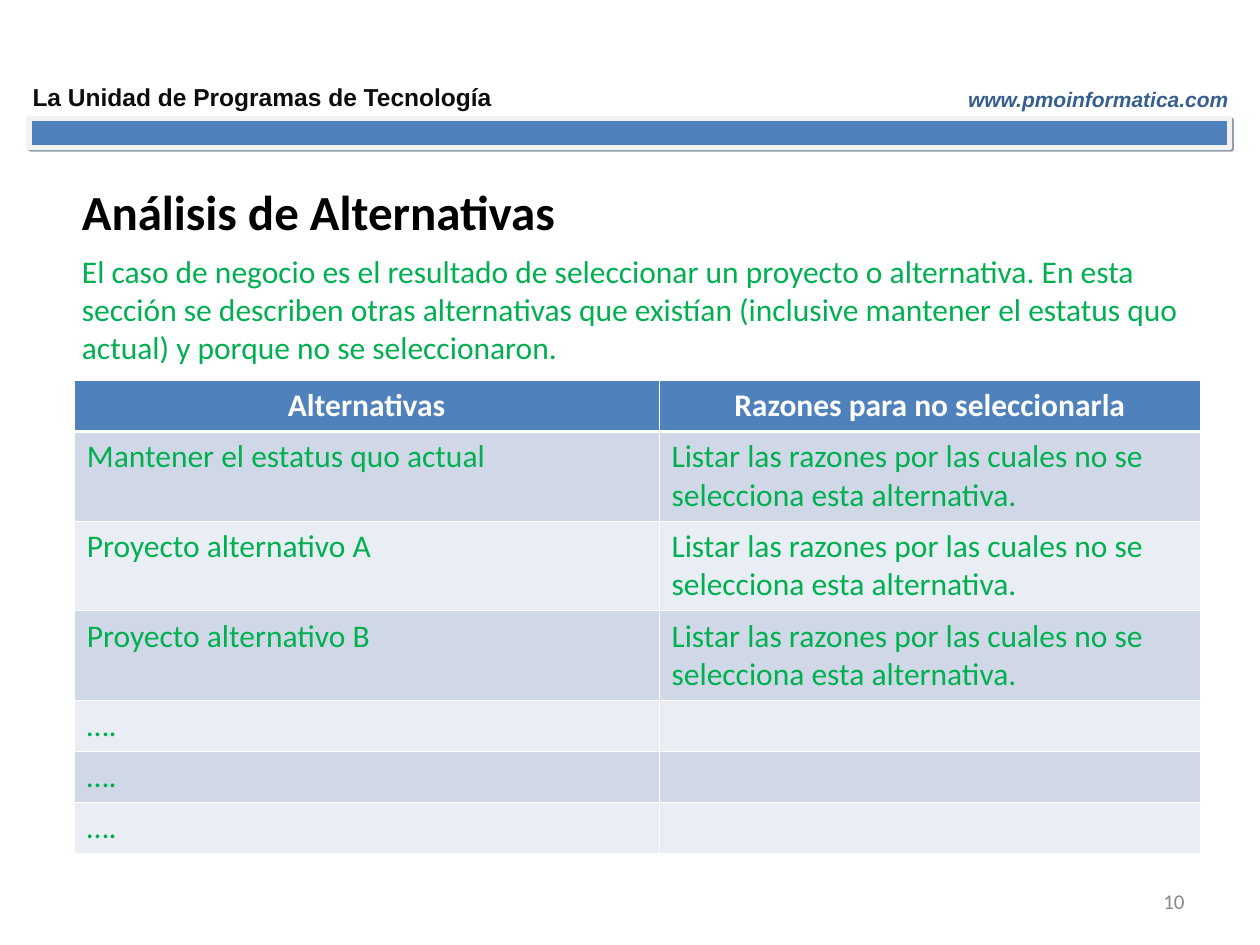
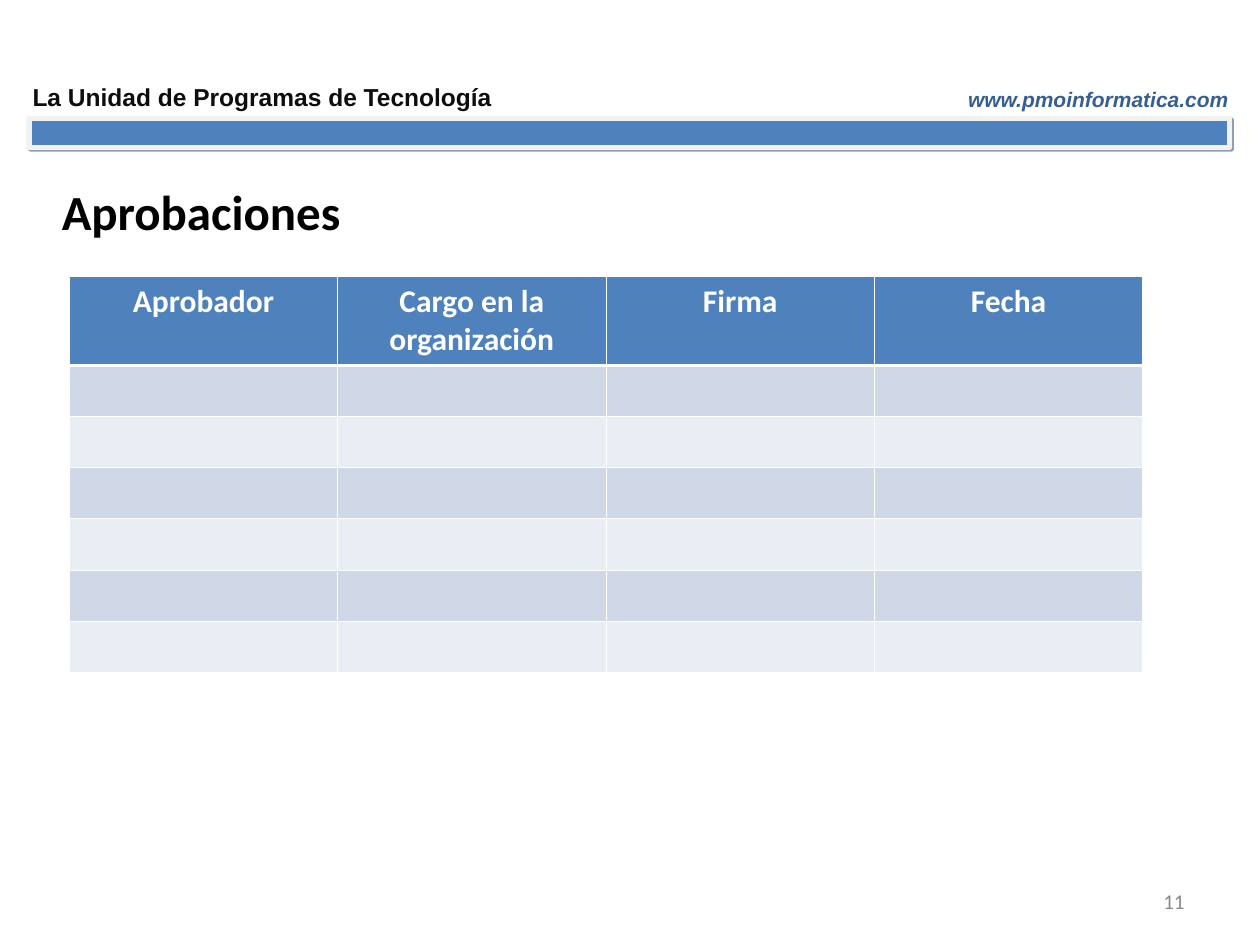
from dataclasses import dataclass

from lxml.etree import SubElement
from pptx import Presentation
from pptx.dml.color import RGBColor
from pptx.enum.shapes import MSO_SHAPE
from pptx.enum.text import MSO_ANCHOR, MSO_AUTO_SIZE, PP_ALIGN
from pptx.oxml.ns import qn
from pptx.util import Inches, Pt


@dataclass(frozen=True)
class Theme:
    blue: str = "4F81BD"
    pale_rows: tuple = ("D0D8E8", "E9EDF4")
    white: str = "FFFFFF"
    band_edge: str = "F2F2F2"
    band_shadow: str = "243F60"
    green: str = "00B050"
    site_blue: str = "365F91"
    ink: str = "0D0D0D"
    black: str = "000000"
    gray: str = "898989"
    heading_font: str = "Arial"
    text_font: str = "Calibri"
    title_size: int = 28
    body_size: int = 18
    office_size: int = 14
    small_size: int = 12
    thin_border: float = 0.45
    header_border: float = 1.47


THEME = Theme()


def text_format(name, size, color, bold=False, italic=False):
    return {"name": name, "size": Pt(size), "bold": bold, "italic": italic, "color": color}


FORMATS = {
    "office": text_format(THEME.heading_font, THEME.office_size, THEME.ink, bold=True),
    "site": text_format(THEME.heading_font, THEME.small_size, THEME.site_blue, bold=True, italic=True),
    "title": text_format(THEME.text_font, THEME.title_size, THEME.black, bold=True),
    "body": text_format(THEME.text_font, THEME.body_size, THEME.green),
    "header": text_format(THEME.text_font, THEME.body_size, THEME.white, bold=True),
    "number": text_format(THEME.text_font, THEME.small_size, THEME.gray),
}


def rgb(color):
    return RGBColor.from_string(color)


def write_text(frame, text, style, align=PP_ALIGN.LEFT):
    para = frame.paragraphs[0]
    para.alignment = align
    para.space_before = Pt(0)
    span = para.add_run()
    span.text = text
    for attribute, value in FORMATS[style].items():
        if attribute == "color":
            span.font.color.rgb = rgb(value)
        else:
            setattr(span.font, attribute, value)


def place(shape, bounds):
    for attribute, value in zip(("left", "top", "width", "height"), bounds):
        setattr(shape, attribute, Inches(value))


def format_frame(frame, anchor=MSO_ANCHOR.MIDDLE):
    settings = {"word_wrap": True, "auto_size": MSO_AUTO_SIZE.NONE, "vertical_anchor": anchor}
    for attribute, value in settings.items():
        setattr(frame, attribute, value)


def add_label(page, bounds, text, style, align=PP_ALIGN.LEFT):
    box = page.shapes.add_textbox(*map(Inches, bounds))
    format_frame(box.text_frame)
    write_text(box.text_frame, text, style, align)


def add_band(page):
    band = page.shapes.add_shape(MSO_SHAPE.RECTANGLE, *map(Inches, (0.23, 0.94, 9.53, 0.23)))
    band.fill.solid()
    band.fill.fore_color.rgb = rgb(THEME.blue)
    band.line.color.rgb = rgb(THEME.band_edge)
    band.line.width = Pt(3)
    band.shadow.inherit = False
    effects = band.element.spPr.find(qn("a:effectLst"))
    shadow = SubElement(effects, qn("a:outerShdw"), dist=str(Pt(1.4)), dir="2700000", algn="ctr", rotWithShape="0")
    color = SubElement(shadow, qn("a:srgbClr"), val=THEME.band_shadow)
    SubElement(color, qn("a:alpha"), val="50000")


def add_page(deck, layout_name, title, title_left, number):
    page = deck.slides.add_slide(deck.slide_layouts.get_by_name(layout_name))
    add_band(page)
    add_label(page, (0.16, 0.6, 3.91, 0.34), "La Unidad de Programas de Tecnología", "office")
    add_label(page, (7.19, 0.64, 2.66, 0.3), "www.pmoinformatica.com", "site", PP_ALIGN.RIGHT)
    place(page.shapes.title, (title_left, 1.48, 9.03, 0.39))
    format_frame(page.shapes.title.text_frame)
    write_text(page.shapes.title.text_frame, title, "title")
    add_label(page, (7.17, 6.95, 2.33, 0.4), str(number), "number", PP_ALIGN.RIGHT)
    return page


def fill_body(page, text, bounds):
    body = page.placeholders[1]
    place(body, bounds)
    format_frame(body.text_frame, MSO_ANCHOR.TOP)
    properties = body.text_frame.paragraphs[0]._p.get_or_add_pPr()
    properties.set("marL", "0")
    properties.set("indent", "0")
    SubElement(properties, qn("a:buNone"))
    write_text(body.text_frame, text, "body")


def set_borders(cell, row_index):
    widths = {side: THEME.thin_border for side in ("L", "R", "T", "B")}
    if row_index == 0:
        widths["B"] = THEME.header_border
    elif row_index == 1:
        widths["T"] = THEME.header_border
    properties = cell._tc.get_or_add_tcPr()
    for side, width in widths.items():
        border = SubElement(properties, qn(f"a:ln{side}"), w=str(Pt(width)))
        fill = SubElement(border, qn("a:solidFill"))
        SubElement(fill, qn("a:srgbClr"), val=THEME.white)


def format_cell(cell, text, row_index):
    is_header = row_index == 0
    set_borders(cell, row_index)
    cell.fill.solid()
    color = THEME.blue if is_header else THEME.pale_rows[(row_index - 1) % 2]
    cell.fill.fore_color.rgb = rgb(color)
    if text:
        style = "header" if is_header else "body"
        write_text(cell.text_frame, text, style, PP_ALIGN.CENTER if is_header else PP_ALIGN.LEFT)
    else:
        cell.text_frame.paragraphs[0].font.size = Pt(THEME.body_size)


def add_grid(page, left, top, widths, heights, rows):
    bounds = (left, top, sum(widths), sum(heights))
    table = page.shapes.add_table(len(rows), len(widths), *map(Inches, bounds)).table
    table.horz_banding = False
    for column, width in zip(table.columns, widths):
        column.width = Inches(width)
    for row_index, (row, height, texts) in enumerate(zip(table.rows, heights, rows)):
        row.height = Inches(height)
        for cell, text in zip(row.cells, texts):
            format_cell(cell, text, row_index)


def add_alternatives(deck):
    page = add_page(deck, "Title and Content", "Análisis de Alternativas", 0.55, 10)
    reasons = "Listar las razones por las cuales no se selecciona esta alternativa."
    options = ("Mantener el estatus quo actual", "Proyecto alternativo A", "Proyecto alternativo B")
    rows = [("Alternativas", "Razones para no seleccionarla")]
    rows += [(option, reasons) for option in options]
    rows += [("….", "")] * 3
    add_grid(page, 0.59, 3.02, (4.64, 4.3), [0.4] + [0.7] * 3 + [0.4] * 3, rows)
    fill_body(
        page,
        "El caso de negocio es el resultado de seleccionar un proyecto o alternativa. "
        "En esta sección se describen otras alternativas que existían (inclusive mantener "
        "el estatus quo actual) y porque no se seleccionaron.",
        (0.55, 1.95, 9.03, 1.02),
    )


def add_approvals(deck):
    page = add_page(deck, "Title Only", "Aprobaciones", 0.39, 11)
    headers = ("Aprobador", "Cargo en la organización", "Firma", "Fecha")
    rows = [headers] + [("",) * len(headers)] * 6
    add_grid(page, 0.55, 2.19, [2.13] * len(headers), [0.7] + [0.4] * 6, rows)


def main():
    deck = Presentation()
    deck.slide_width = Inches(10)
    deck.slide_height = Inches(7.5)
    add_alternatives(deck)
    add_approvals(deck)
    deck.save("out.pptx")


if __name__ == "__main__":
    main()
